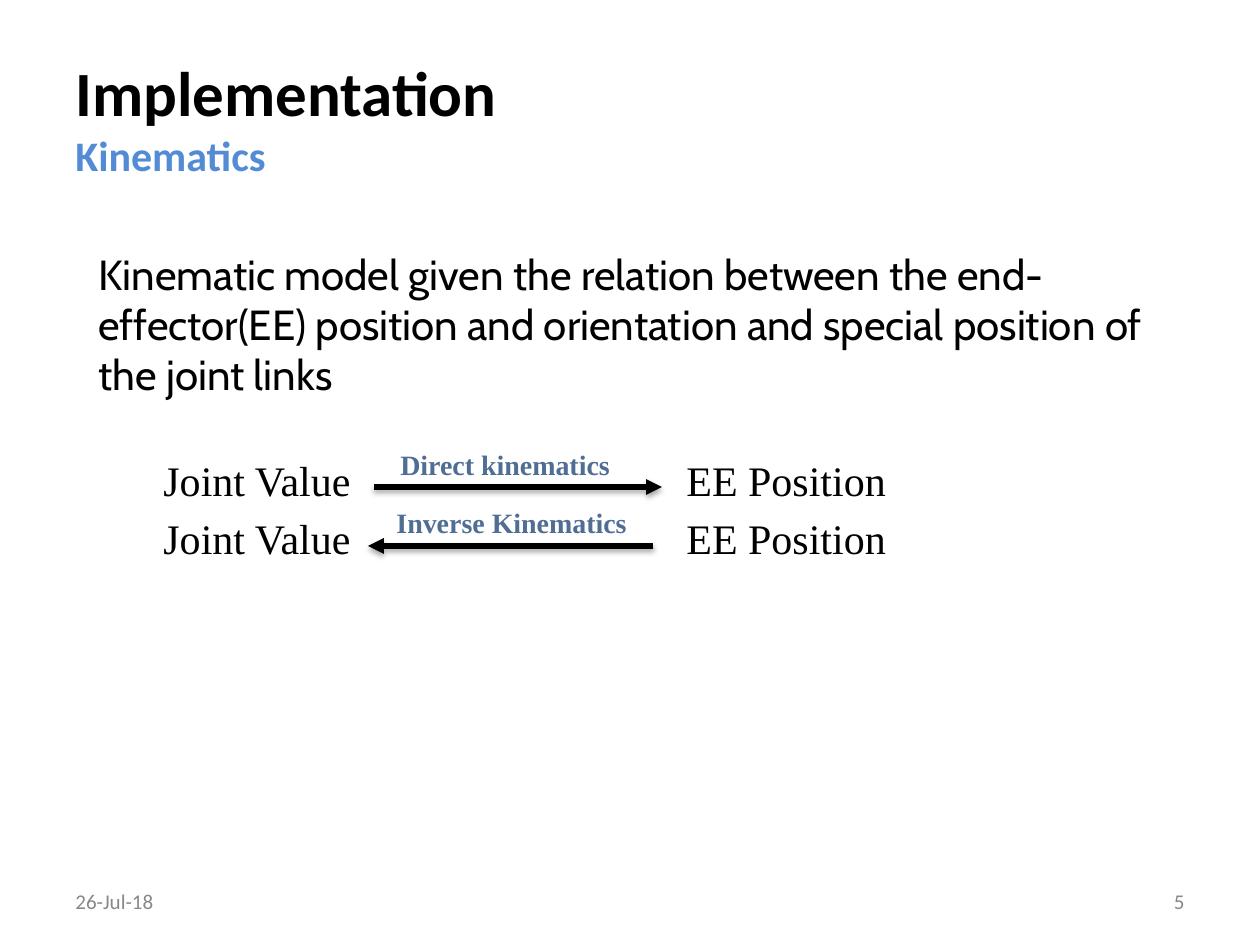
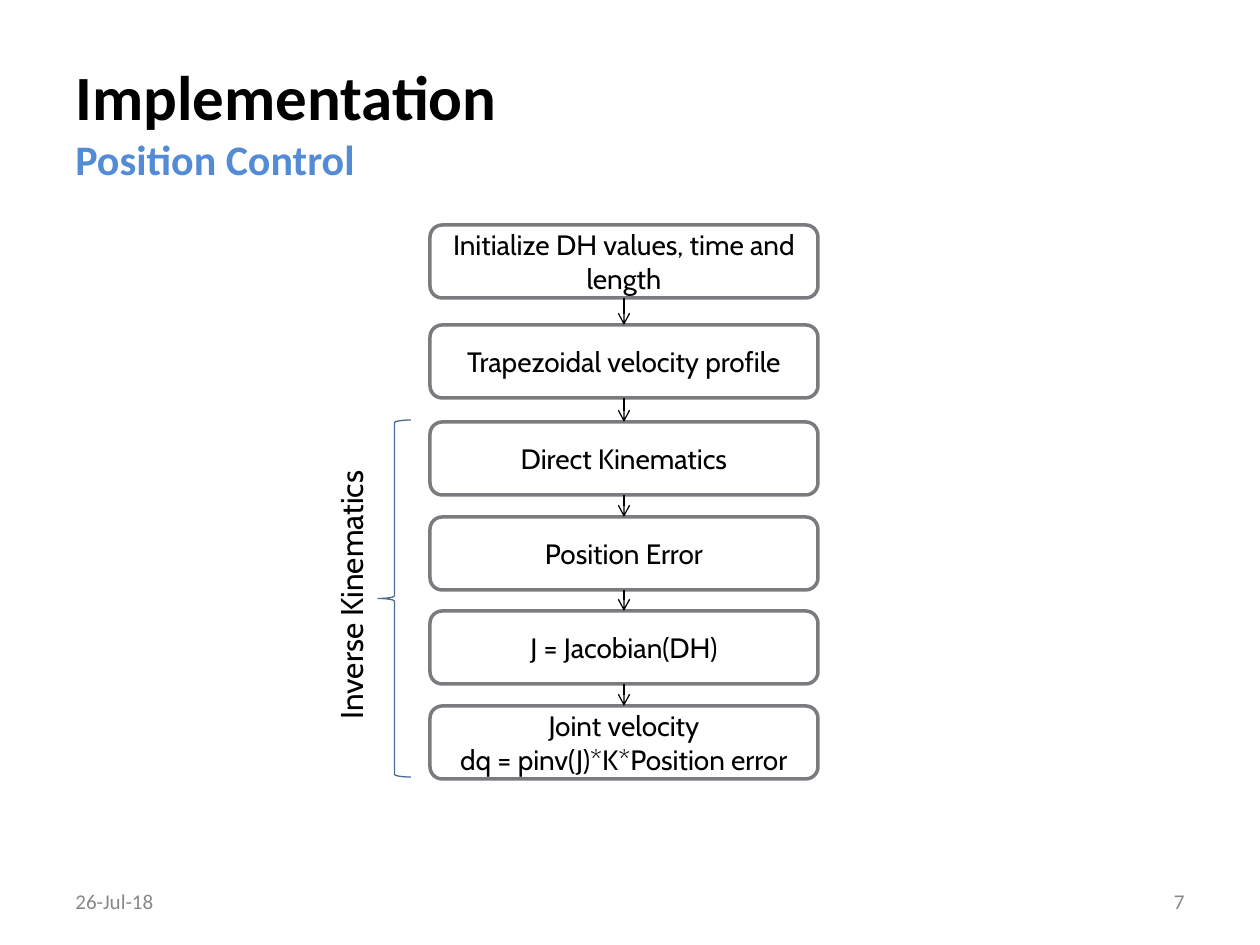
"""Build two slides on robot kinematics and position control."""
from dataclasses import dataclass

from lxml.etree import SubElement
from pptx import Presentation
from pptx.dml.color import RGBColor
from pptx.enum.shapes import MSO_CONNECTOR, MSO_SHAPE
from pptx.enum.text import MSO_ANCHOR, PP_ALIGN
from pptx.oxml.ns import qn
from pptx.util import Pt

PX = 7257


@dataclass(frozen=True)
class Theme:
    black: RGBColor = RGBColor.from_string("000000")
    white: RGBColor = RGBColor.from_string("FFFFFF")
    box_line: RGBColor = RGBColor.from_string("797B7E")
    brace_line: RGBColor = RGBColor.from_string("4D6B92")
    title: tuple = ("Calibri", 36, "000000", True)
    subtitle: tuple = ("Calibri", 24, "538CD5", True)
    footer: tuple = ("Calibri", 12, "888888", False)
    body: tuple = ("Cabin", 24, "000000", False)
    mapping: tuple = ("Times New Roman", 24, "000000", False)
    arrow_label: tuple = ("Times New Roman", 16, "506E94", True)
    step: tuple = ("Cabin", 16, "000000", False)
    brace_label: tuple = ("Cabin", 18, "000000", False)


theme = Theme()


def write(shape, lines, align=PP_ALIGN.LEFT, anchor=MSO_ANCHOR.TOP):
    frame = shape.text_frame
    frame.word_wrap = True
    frame.vertical_anchor = anchor
    for index, (text, (font, size, color, bold)) in enumerate(lines):
        para = frame.add_paragraph() if index else frame.paragraphs[0]
        para.text = text
        para.alignment = align
        para.font.name = font
        para.font.size = Pt(size)
        para.font.bold = bold
        para.font.color.rgb = RGBColor.from_string(color)
    return shape


def add_arrow(page, start, end, width, head):
    points = [value * PX for value in (*start, *end)]
    arrow = page.shapes.add_connector(MSO_CONNECTOR.STRAIGHT, *points)
    arrow.line.color.rgb = theme.black
    arrow.line.width = Pt(width)
    SubElement(arrow.line._get_or_add_ln(), qn("a:tailEnd"), type=head)
    effects = SubElement(arrow._element.spPr, qn("a:effectLst"))
    return arrow, effects


deck = Presentation()
deck.slide_width = 1260 * PX
deck.slide_height = 945 * PX

pages = []
for subtitle, number, title_top in (("Kinematics", "5", 38), ("Position Control", "7", 42)):
    page = deck.slides.add_slide(deck.slide_layouts[6])
    title = page.shapes.add_textbox(63 * PX, title_top * PX, 1134 * PX, 157 * PX)
    write(title, [("Implementation", theme.title), (subtitle, theme.subtitle)],
          anchor=MSO_ANCHOR.MIDDLE)
    for left, text, align in ((63, "26-Jul-18", PP_ALIGN.LEFT), (903, number, PP_ALIGN.RIGHT)):
        footer = page.shapes.add_textbox(left * PX, 876 * PX, 294 * PX, 50 * PX)
        write(footer, [(text, theme.footer)], align, MSO_ANCHOR.MIDDLE)
    pages.append(page)
kinematics, control = pages

intro = kinematics.shapes.add_textbox(86 * PX, 242 * PX, 1080 * PX, 165 * PX)
write(intro, [("Kinematic model given the relation between the end-effector(EE) position "
               "and orientation and special position of the joint links", theme.body)])

mapping = kinematics.shapes.add_textbox(151 * PX, 448 * PX, 940 * PX, 270 * PX)
write(mapping, [("Joint Value\tEE Position", theme.mapping)] * 2)
for para in mapping.text_frame.paragraphs:
    para.space_before = Pt(4.5)
    tabs = SubElement(para._p.get_or_add_pPr(), qn("a:tabLst"))
    tabs.getparent().insert_element_before(tabs, "a:defRPr")
    SubElement(tabs, qn("a:tab"), pos=str(523 * PX), algn="l")

for text, left, top, start, end in (
    ("Direct kinematics", 388, 441, (374, 487), (662, 487)),
    ("Inverse Kinematics", 384, 499, (653, 546), (368, 546)),
):
    arrow, effects = add_arrow(kinematics, start, end, 3, "triangle")
    shadow = SubElement(effects, qn("a:outerShdw"), blurRad=str(Pt(3.1)), dist=str(Pt(1.8)),
                        dir="5400000", rotWithShape="0")
    shadow_color = SubElement(shadow, qn("a:srgbClr"), val=str(theme.black))
    SubElement(shadow_color, qn("a:alpha"), val="35000")
    label = kinematics.shapes.add_textbox(left * PX, top * PX, 270 * PX, 47 * PX)
    write(label, [(text, theme.arrow_label)])

previous = None
for top, lines in (
    (225, ["Initialize DH values, time and length"]),
    (325, ["Trapezoidal velocity profile"]),
    (422, ["Direct Kinematics"]),
    (517, ["Position Error"]),
    (611, ["J = Jacobian(DH)"]),
    (706, ["Joint velocity", "dq = pinv(J)*K*Position error"]),
):
    step = control.shapes.add_shape(MSO_SHAPE.ROUNDED_RECTANGLE, 430 * PX, top * PX,
                                    388 * PX, 73 * PX)
    step.shadow.inherit = False
    step.fill.solid()
    step.fill.fore_color.rgb = theme.white
    step.line.color.rgb = theme.box_line
    step.line.width = Pt(2)
    write(step, [(line, theme.step) for line in lines], PP_ALIGN.CENTER, MSO_ANCHOR.MIDDLE)
    if previous:
        arrow, effects = add_arrow(control, (624, top - 22), (624, top), 0.75, "arrow")
        arrow.begin_connect(previous, 2)
        arrow.end_connect(step, 0)
    previous = step

brace_label = control.shapes.add_textbox(210 * PX, 570 * PX, 281 * PX, 50 * PX)
brace_label.rotation = 270
write(brace_label, [("Inverse Kinematics", theme.brace_label)], PP_ALIGN.CENTER)

brace = control.shapes.add_shape(MSO_SHAPE.LEFT_BRACE, 378 * PX, 420 * PX, 33 * PX, 357 * PX)
brace.shadow.inherit = False
brace.fill.background()
brace.line.color.rgb = theme.brace_line
brace.line.width = Pt(0.75)

deck.save("out.pptx")
